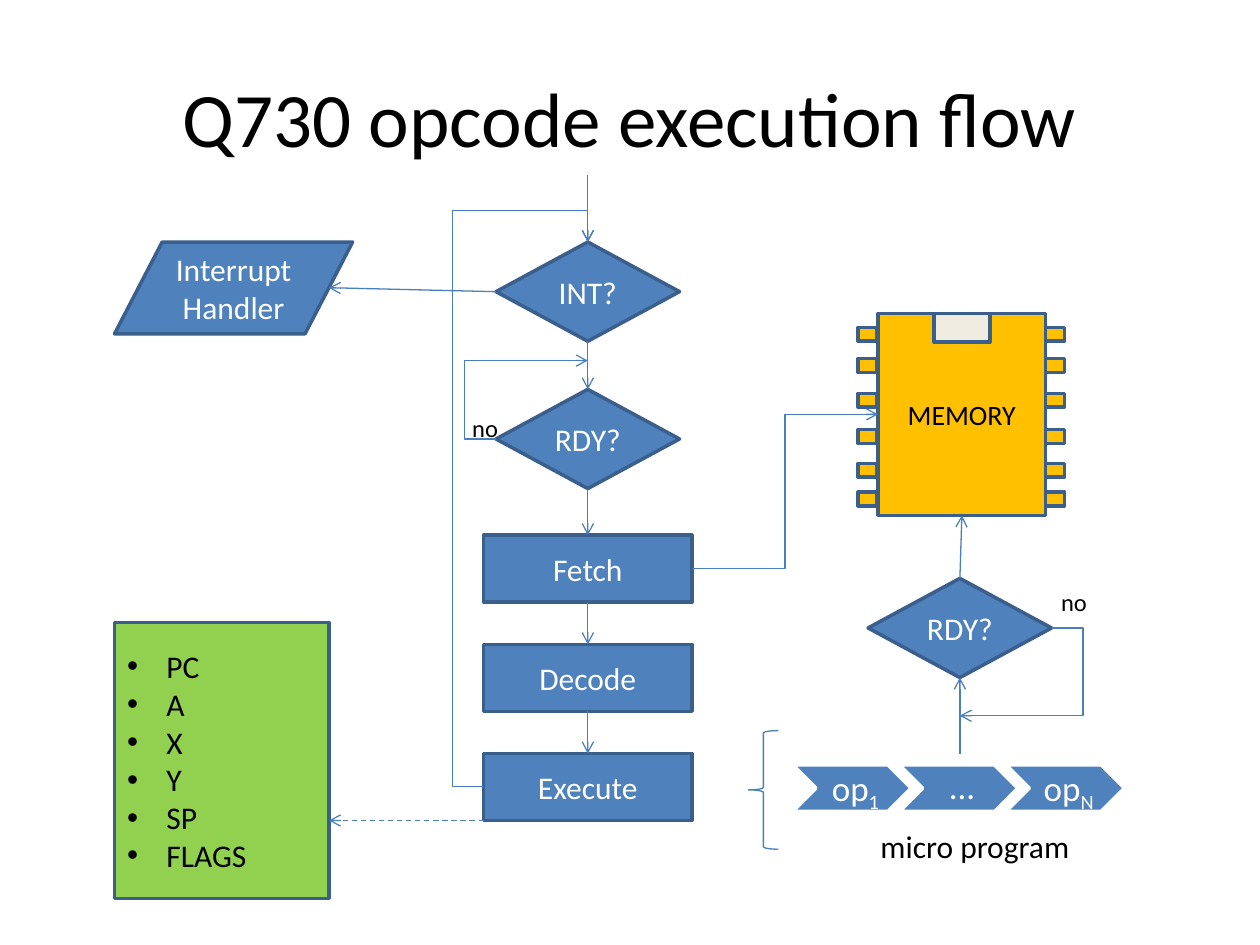
from dataclasses import dataclass

from pptx import Presentation
from pptx.dml.color import RGBColor
from pptx.enum.dml import MSO_LINE as Dash
from pptx.enum.shapes import MSO_CONNECTOR as Conn, MSO_SHAPE as Kind
from pptx.enum.text import MSO_ANCHOR as Anchor, PP_ALIGN as Align
from pptx.oxml.ns import qn
from pptx.oxml.xmlchemy import OxmlElement as Node
from pptx.util import Cm, Pt


@dataclass(frozen=True)
class Theme:
    font: str = "Calibri"
    blue: str = "4F81BD"
    edge: str = "3A5F8C"
    wire: str = "4B7EBC"
    gold: str = "FFC000"
    notch: str = "EEECE1"
    green: str = "92D050"
    white: str = "FFFFFF"
    black: str = "000000"
    title: int = 44
    op: int = 20
    body: int = 18
    chip: int = 16
    note: int = 14
    thick: float = 2
    thin: float = 0.75


T = Theme()
TURN = -0.343  # how far a waiting loop swings out past its diamond


def rgb(code):
    return RGBColor.from_string(code)


def write(shape, *lines, size=T.body, color=T.white, align=Align.CENTER,
          anchor=Anchor.MIDDLE, wrap=True, sub="", pads=None, gap=None):
    """Fill a shape with paragraphs; sub is a subscript after the last one."""
    frame = shape.text_frame
    frame.word_wrap, frame.vertical_anchor = wrap, anchor
    if pads:
        (frame.margin_left, frame.margin_top,
         frame.margin_right, frame.margin_bottom) = map(Cm, pads)
    for i, line in enumerate(lines):
        para = frame.paragraphs[0] if i == 0 else frame.add_paragraph()
        para.text, para.alignment = line, align
        para.space_before = Pt(0)
        if gap:
            para.line_spacing = gap
    if sub:
        low = para.add_run()
        low.text = sub
        low.font._element.set("baseline", "-25000")
    for para in frame.paragraphs:
        for run in para.runs:
            font = run.font
            font.name, font.size = T.font, Pt(size)
            font.color.rgb = rgb(color)


def paint(shape, fill, edge=T.edge, width=T.thick):
    if fill:
        shape.fill.solid()
        shape.fill.fore_color.rgb = rgb(fill)
    else:
        shape.fill.background()
    shape.line.color.rgb = rgb(edge)
    shape.line.width = Pt(width)


def place(shape, x, y, w, h):
    shape.left, shape.top, shape.width, shape.height = map(Cm, (x, y, w, h))


def block(home, kind, x, y, w, h, text="", fill=T.blue, edge=T.edge,
          width=T.thick, **form):
    shape = home.add_shape(kind, *map(Cm, (x, y, w, h)))
    shape.shadow.inherit = False
    paint(shape, fill, edge, width)
    if text:
        write(shape, text, **form)
    return shape


def label(home, x, y, w, h, text, **form):
    box = home.add_textbox(*map(Cm, (x, y, w, h)))
    write(box, text, **form)
    return box


def note(home, x, y):
    label(home, x, y, 1.04, 0.86, "no", size=T.note, color=T.black,
          align=Align.LEFT, anchor=Anchor.TOP, wrap=False)


def wire(home, start, end, kind=Conn.STRAIGHT, bends=(), dash=False):
    """Draw an arrow; each end is an (x, y) point or a (shape, side) joint."""
    spots = [(0, 0) if hasattr(e[0], "shape_id") else e for e in (start, end)]
    line = home.add_connector(kind, *(Cm(v) for spot in spots for v in spot))
    if hasattr(start[0], "shape_id"):
        line.begin_connect(*start)
    if hasattr(end[0], "shape_id"):
        line.end_connect(*end)
    line.line.color.rgb = rgb(T.wire)
    line.line.width = Pt(T.thin)
    if dash:
        line.line.dash_style = Dash.DASH
    props = line._element.spPr
    tip = Node("a:tailEnd")
    tip.set("type", "arrow")
    props.find(qn("a:ln")).append(tip)
    props.append(Node("a:effectLst"))
    if bends:
        geom = props.find(qn("a:prstGeom"))
        geom.set("prst", f"bentConnector{len(bends) + 2}")
        for i, bend in enumerate(bends, 1):
            guide = Node("a:gd")
            guide.set("name", f"adj{i}")
            guide.set("fmla", f"val {round(bend * 100000)}")
            geom.find(qn("a:avLst")).append(guide)


def flow(home, x, y, w):
    """Main column: two tests, three steps and the loops back."""
    mid, wide, tall, step = x + w / 2, 3.7, 2.0, 1.35
    tests = [block(home, Kind.FLOWCHART_DECISION, mid - wide / 2, y + top,
                   wide, tall, text)
             for text, top in (("INT?", 1.35), ("RDY?", 4.32))]
    steps = [block(home, Kind.FLOWCHART_PROCESS, x, y + 7.26 + 2.2 * i,
                   w, step, text)
             for i, text in enumerate(("Fetch", "Decode", "Execute"))]
    chain = tests + steps
    wire(home, (mid, y), (chain[0], 0))
    for above, below in zip(chain, chain[1:]):
        wire(home, (above, 2), (below, 0))
    # Wait for ready, then the return from Execute
    wire(home, (mid - wide / 2, y + 5.32), (mid, y + 3.74), Conn.ELBOW, [TURN])
    wire(home, (x, y + 12.33), (mid, y + 1.35), Conn.ELBOW, [-0.301, 1.058])
    note(home, x - 0.48, y + 4.67)
    return tests[0], steps[0]


def chip(home, x, y, w, h):
    """Memory chip with a notch and six pins a side."""
    group = home.add_group_shape().shapes
    body = block(group, Kind.RECTANGLE, x, y, w, h, "MEMORY", T.gold,
                 size=T.chip, color=T.black)
    block(group, Kind.RECTANGLE, x + w / 3, y, w / 3, 0.58, fill=T.notch)
    for top in (0.28, 0.91, 1.61, 2.34, 3.02, 3.6):
        for left in (x - 0.4, x + w):
            block(group, Kind.RECTANGLE, left, y + top, 0.38, 0.28,
                  fill=T.gold)
    return body


def micro(home, x, y):
    """Micro program: chevrons in a brace, with their own ready test."""
    wide, tall, left = 3.7, 2.0, x + 2.41
    mid = left + wide / 2
    test = block(home, Kind.FLOWCHART_DECISION, left, y, wide, tall, "RDY?")
    block(home, Kind.LEFT_BRACE, x, y + 3.07, 0.6, 2.39, fill=None,
          edge=T.wire, width=T.thin)
    group = home.add_group_shape().shapes
    for i, (text, sub) in enumerate((("op", "1"), ("...", ""), ("op", "N"))):
        spot = x + 0.89 + 2.15 * i
        block(group, Kind.CHEVRON, spot, y + 3.76, 2.39, 0.94, edge=T.white)
        label(group, spot + 0.48, y + 3.76, 1.42, 0.94, text, sub=sub,
              size=T.op, pads=(0.23, 0.08, 0.08, 0.08), gap=0.9)
    wire(home, (mid, y + 3.53), (test, 2))
    wire(home, (left + wide, y + tall / 2), (mid, y + 2.77), Conn.ELBOW, [TURN])
    note(home, x + 6.05, y + 0.05)
    label(home, left, y + 4.88, 5.18, 1.02, "micro program", color=T.black,
          align=Align.LEFT, anchor=Anchor.TOP)
    return test


def regs(body, x, y, w, h):
    """Register list in the body placeholder."""
    place(body, x, y, w, h)
    paint(body, T.green)
    write(body, "PC", "A", "X", "Y", "SP", "FLAGS", color=T.black,
          align=Align.LEFT)
    for para in body.text_frame.paragraphs:
        props = para._p.get_or_add_pPr()
        props.set("marL", str(Cm(0.79)))
        props.set("indent", str(Cm(-0.79)))


def main():
    deck = Presentation()
    deck.slide_width, deck.slide_height = Cm(25.4), Cm(19.05)
    slide = deck.slides.add_slide(deck.slide_layouts[1])
    home = slide.shapes
    place(home.title, 1.27, 0.76, 22.86, 3.18)
    write(home.title, "Q730 opcode execution flow", size=T.title,
          color=T.black)

    # Regions
    test, fetch = flow(home, 9.75, 3.53, 4.2)
    memory = chip(home, 17.7, 6.32, 3.38, 4.07)
    ready = micro(home, 15.09, 11.66)
    regs(slide.placeholders[1], 2.31, 12.55, 4.32, 5.56)
    block(home, Kind.FLOWCHART_DATA, 2.31, 4.88, 4.8, 1.85,
          "Interrupt\nHandler")

    # Links between regions
    wire(home, (test, 1), (6.63, 5.8))
    wire(home, (fetch, 3), (memory, 1), Conn.ELBOW)
    wire(home, (ready, 0), (memory, 2))
    wire(home, (9.75, 16.54), (6.63, 16.54), dash=True)
    deck.save("out.pptx")


if __name__ == "__main__":
    main()
